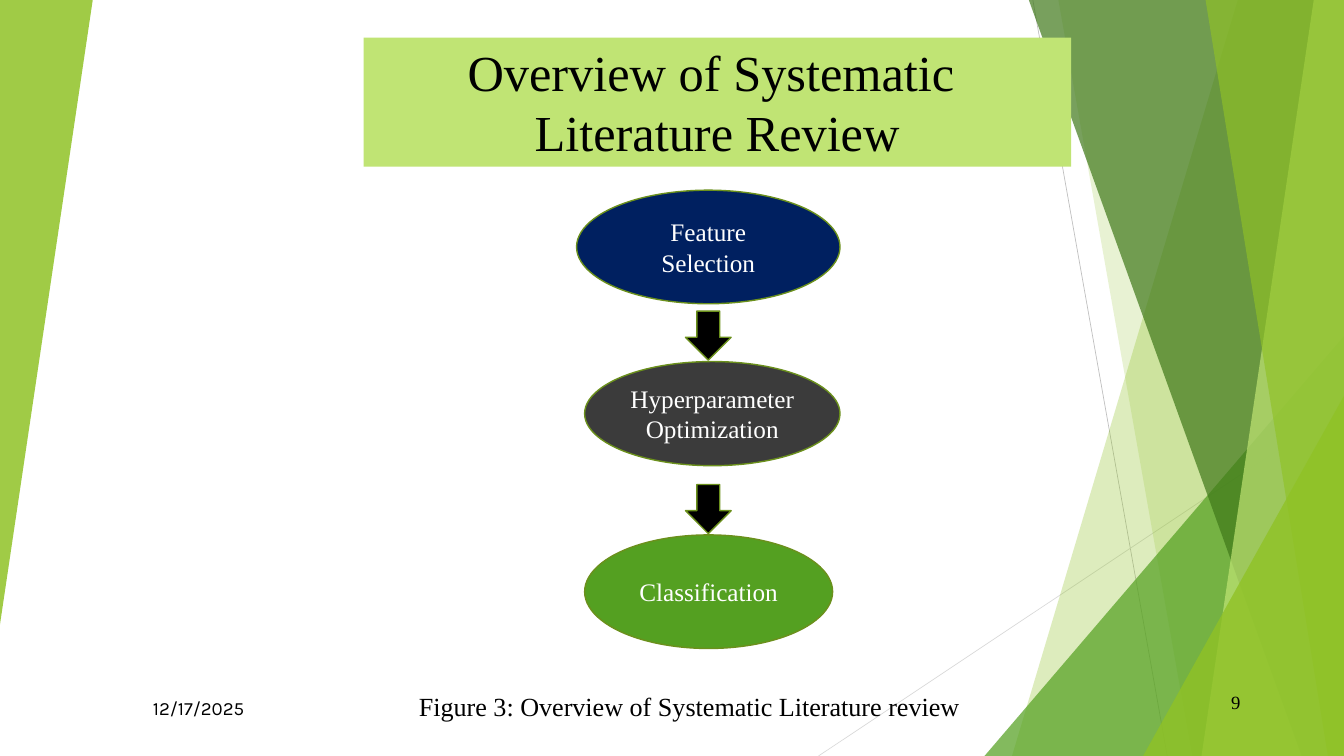
from lxml import etree
from pptx import Presentation
from pptx import util as u
from pptx.dml.color import RGBColor
from pptx.enum import shapes, text
from pptx.oxml import ns

# The page is a grid of one-inch cells; every box is (left, top, width, height).
COLUMNS, ROWS = 20, 11.25
CELL = u.Inches(1)
SERIF, SANS = "Times New Roman", "Karla"
LIME, PALE, GREEN, FOREST, OLIVE = "90C226", "C0E474", "54A021", "3F7819", "6B901C"
BLACK, WHITE = "000000", "FFFFFF"


def cells(*counts):
    return [int(count * CELL) for count in counts]


def paint(target, color, opacity=100):
    """Give a shape, line or font a solid colour; opacity in percent."""
    fill = target.fill
    fill.solid()
    fill.fore_color.rgb = RGBColor.from_string(color)
    if opacity < 100:
        tint = target._element.spPr.find(".//" + ns.qn("a:srgbClr"))
        etree.SubElement(tint, ns.qn("a:alpha"), val=str(opacity * 1000))


def outline(shape, color=None, width=1.5):
    shape.shadow.inherit = False
    if color is None:
        shape.line.fill.background()
    else:
        paint(shape.line, color)
        shape.line.width = u.Pt(width)


def write(shape, wording, size, font=SERIF, color=BLACK, **frame_format):
    frame = shape.text_frame
    frame.text = wording
    defaults = {"word_wrap": True, "auto_size": text.MSO_AUTO_SIZE.NONE,
                "vertical_anchor": text.MSO_ANCHOR.MIDDLE}
    for name, value in {**defaults, **frame_format}.items():
        setattr(frame, name, value)
    for para in frame.paragraphs:
        para.alignment = text.PP_ALIGN.CENTER
        for span in para.runs:
            for name, value in {"name": font, "size": u.Pt(size)}.items():
                setattr(span.font, name, value)
            paint(span.font, color)


def add_preset(page, kind, box, color, opacity=100, edge=None):
    shape = page.shapes.add_shape(kind, *cells(*box))
    paint(shape, color, opacity)
    outline(shape, edge)
    return shape


def add_corner(page, box, color, opacity, rotation=0):
    """Right-angled triangle whose apex sits above its right end."""
    corner = add_preset(page, shapes.MSO_SHAPE.ISOSCELES_TRIANGLE, box, color, opacity)
    corner.adjustments[0] = 1
    corner.rotation = rotation


def add_strip(page, top_x, foot_x, color, opacity):
    """Full-height strip from a slanted left side to the right page edge."""
    start, *others = [cells(*point) for point in
                      ((top_x, 0), (COLUMNS, 0), (COLUMNS, ROWS), (foot_x, ROWS))]
    builder = page.shapes.build_freeform(*start)
    builder.add_line_segments(others, close=True)
    strip = builder.convert_to_shape()
    paint(strip, color, opacity)
    outline(strip)


def add_hairline(page, start, end, color):
    line = page.shapes.add_connector(shapes.MSO_CONNECTOR.STRAIGHT,
                                     *cells(*start, *end))
    paint(line.line, color)
    line.line.width = u.Pt(0.75)
    etree.SubElement(line._element.spPr, ns.qn("a:effectLst"))


def add_backdrop(page):
    add_hairline(page, (15.37, 0), (17.37, ROWS), "BFBFBF")
    add_hairline(page, (COLUMNS, 6.04), (12.18, ROWS), "D9D9D9")
    add_strip(page, 18.42, 15.06, LIME, 30)
    add_strip(page, 15.75, 17.74, LIME, 20)
    add_corner(page, (14.65, 5, 5.35, 6.25), GREEN, 72)
    add_strip(page, 15.31, 19.37, FOREST, 70)
    add_strip(page, 19.55, 17.88, PALE, 70)
    add_strip(page, 17.94, 19.76, LIME, 65)
    add_corner(page, (17.01, 5.89, 2.99, 5.36), LIME, 80)
    add_corner(page, (0, 0, 1.38, 9.29), LIME, 85, rotation=180)


def add_heading(page, box, wording):
    title = page.shapes.title
    page.shapes._spTree.append(title._element)  # bring in front of the backdrop
    title.left, title.top, title.width, title.height = cells(*box)
    paint(title, PALE)
    write(title, wording, 54, vertical_anchor=text.MSO_ANCHOR.TOP)


def add_flow(page, box):
    """Three stages down the box, with an arrow resting on each later one."""
    left, top, width, _ = box
    stages = [  # wording, indent, drop, width, height, colour
        ("Feature Selection", 0, 0, width, 1.69, "002060"),
        ("Hyperparameter\vOptimization", 0.12, 2.55, 3.8, 1.55, "3B3B3B"),
        ("Classification", 0.12, 5.13, 3.69, 1.69, GREEN),
    ]
    for wording, indent, drop, wide, high, color in stages:
        if drop:
            arrow_box = (left + 1.62, top + drop - 0.75, 0.68, 0.73)
            add_preset(page, shapes.MSO_SHAPE.DOWN_ARROW, arrow_box, BLACK, edge=OLIVE)
        stage = add_preset(page, shapes.MSO_SHAPE.OVAL,
                           (left + indent, top + drop, wide, high), color, edge=OLIVE)
        write(stage, wording, 27, color=WHITE)


def add_label(page, box, wording, size, **style):
    write(page.shapes.add_textbox(*cells(*box)), wording, size, **style)


def main():
    deck = Presentation()
    deck.slide_width, deck.slide_height = cells(COLUMNS, ROWS)
    page = deck.slides.add_slide(deck.slide_layouts.get_by_name("Title Only"))
    add_backdrop(page)
    add_label(page, (2.08, 10.23, 1.75, 0.6), "12/17/2025", 20, font=SANS)
    add_label(page, (17.83, 10.13, 1.12, 0.63), "9", 20)
    add_heading(page, (5.41, 0.56, 10.53, 1.92),
                "Overview of Systematic \nLiterature Review")
    add_flow(page, (8.58, 2.83, 3.92, 6.82))
    add_label(page, (6.09, 10.22, 8.33, 0.57),
              "Figure 3: Overview of Systematic Literature review", 28,
              word_wrap=False, vertical_anchor=text.MSO_ANCHOR.TOP)
    deck.save("out.pptx")


if __name__ == "__main__":
    main()
